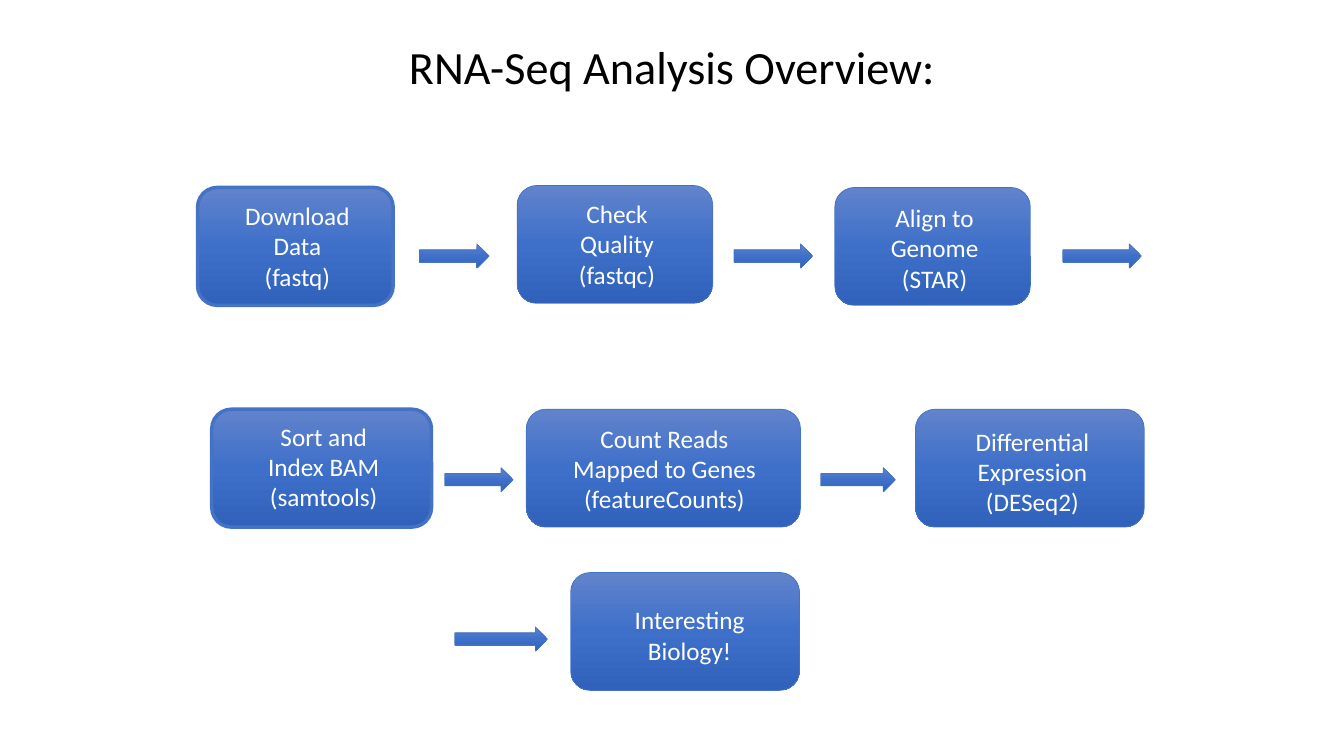
from copy import deepcopy

from pptx import Presentation
from pptx.dml.color import RGBColor
from pptx.enum.shapes import MSO_SHAPE as Shape
from pptx.enum.text import MSO_ANCHOR as Anchor, PP_ALIGN as Align
from pptx.util import Emu, Pt

PX = 9144  # 100 px to the inch
FONT = "Calibri"
LINE_BLUE = "4472C4"
GRADIENT = [(0, "6183CB"), (0.5, "3E70CA"), (1, "3062BB")]

TITLE = "RNA-Seq Analysis Overview:"
STEP_HEIGHT, ARROW_HEIGHT = 117, 24
THIN, THICK = 0.5, 2.5

# step: left, top, width, outline; label: left, top, width, height, text
STEPS = [
    ((196, 186, 194, THICK), (225, 194, 140, 101, "Download Data\n(fastq)")),
    ((513, 184, 194, THIN), (542, 192, 140, 101, "Check Quality (fastqc)")),
    ((828, 186, 194, THIN), (857, 196, 140, 101, "Align to Genome (STAR)")),
    ((210, 406, 218, THICK), (242, 413, 158, 101, "Sort and Index BAM (samtools)")),
    ((522, 406, 272, THIN),
     (543, 415, 232, 101, "Count Reads Mapped to Genes (featureCounts)")),
    ((908, 406, 227, THIN),
     (942, 418, 164, 101, "Differential Expression (DESeq2)")),
    ((566, 568, 227, THIN), (602, 595, 164, 71, "Interesting Biology!")),
]

# top of the row: (left, width) of each arrow
ARROWS = {
    242: [(416, 69), (728, 78), (1054, 78)],
    464: [(441, 68), (814, 74)],
    622: [(451, 92)],
}


def rgb(value):
    return RGBColor.from_string(value)


def emu(*lengths):
    return [Emu(length * PX) for length in lengths]


def add_gradient_shape(page, kind, left, top, width, height, outline):
    shape = page.shapes.add_shape(kind, *emu(left, top, width, height))
    shape.shadow.inherit = False
    shape.line.color.rgb = rgb(LINE_BLUE)
    shape.line.width = Pt(outline)
    fill = shape.fill
    fill.gradient()
    fill.gradient_angle = 270
    first_stop = shape._element.spPr.xpath("./a:gradFill/a:gsLst/a:gs")[0]
    first_stop.addnext(deepcopy(first_stop))
    for stop, (position, color) in zip(fill.gradient_stops, GRADIENT):
        stop.position = position
        stop.color.rgb = rgb(color)


def add_text(page, left, top, width, height, text, size, color, anchor=Anchor.TOP):
    box = page.shapes.add_textbox(*emu(left, top, width, height))
    frame = box.text_frame
    frame.word_wrap = True
    frame.vertical_anchor = anchor
    frame.text = text
    for para in frame.paragraphs:
        para.alignment = Align.CENTER
        for span in para.runs:
            span.font.name = FONT
            span.font.size = Pt(size)
            span.font.color.rgb = rgb(color)


def main():
    deck = Presentation()
    deck.slide_width, deck.slide_height = emu(1333, 750)
    page = deck.slides.add_slide(deck.slide_layouts[6])

    add_text(page, 184, 15, 965, 83, TITLE, 33, "000000", Anchor.BOTTOM)
    for (left, top, width, outline), label in STEPS:
        add_gradient_shape(page, Shape.ROUNDED_RECTANGLE,
                           left, top, width, STEP_HEIGHT, outline)
        add_text(page, *label, 18, "FFFFFF")
    for top, row in ARROWS.items():
        for left, width in row:
            add_gradient_shape(page, Shape.RIGHT_ARROW,
                               left, top, width, ARROW_HEIGHT, THIN)

    deck.save("out.pptx")


if __name__ == "__main__":
    main()
